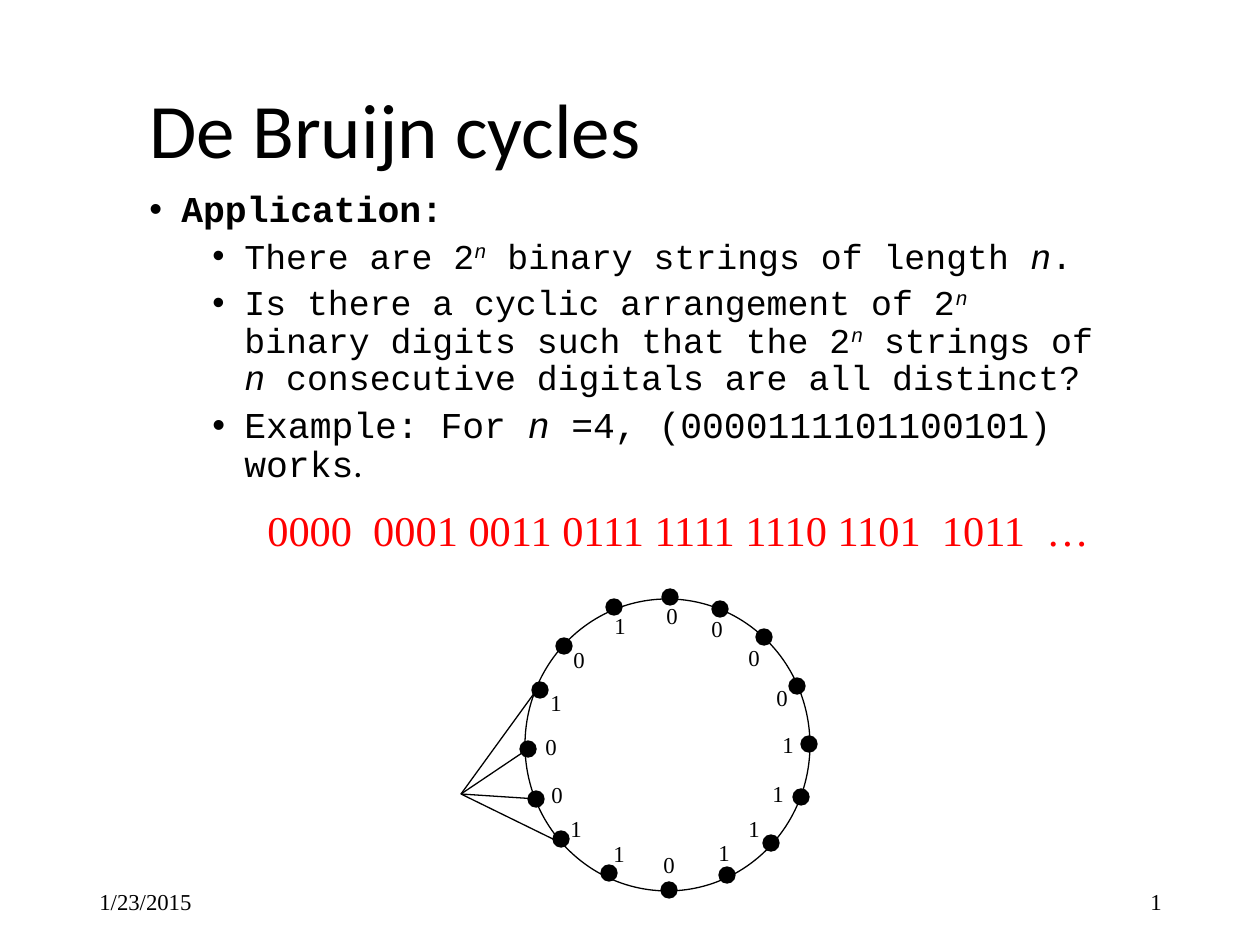
from pptx import Presentation
from pptx.dml.color import RGBColor
from pptx.enum.shapes import MSO_CONNECTOR, MSO_SHAPE
from pptx.enum.text import MSO_ANCHOR as Anchor, PP_ALIGN as Align
from pptx.oxml.ns import qn
from pptx.util import Pt
from lxml.etree import SubElement

PX = 914400 / 126
BLACK = RGBColor(0, 0, 0)
RED = RGBColor(255, 0, 0)
SERIF, MONO, SANS = "Times New Roman", "Courier New", "Calibri"


def px(*lengths):
    """Turn pixel lengths into EMU."""
    return [round(length * PX) for length in lengths]


def add_text(shapes, box, text, size, font=SERIF, color=BLACK, wrap=True, anchor=Anchor.TOP):
    """Add a one-paragraph text box and return its paragraph."""
    frame = shapes.add_textbox(*px(*box)).text_frame
    frame.word_wrap = wrap
    frame.vertical_anchor = anchor
    paragraph = frame.paragraphs[0]
    paragraph.text = text
    paragraph.font.size = Pt(size)
    paragraph.font.name = font
    paragraph.font.color.rgb = color
    return paragraph


prs = Presentation()
prs.slide_width, prs.slide_height = px(1260, 945)
slide = prs.slides.add_slide(prs.slide_layouts[6])
shapes = slide.shapes

# Footer and title
add_text(shapes, (87, 876, 284, 50), "1/23/2015", 13, anchor=Anchor.MIDDLE)
page = add_text(shapes, (890, 876, 284, 50), "1", 13, anchor=Anchor.MIDDLE)
page.alignment = Align.RIGHT
title = add_text(shapes, (137, 71, 985, 126), "De Bruijn cycles", 44, SANS, anchor=Anchor.MIDDLE)
title.line_spacing = 0.9

# Bullets: level, size, runs as (text, style)
BULLETS = [
    (0, 20.8, [("Application:", "bold")]),
    (1, 19.9, [("There are 2", ""), ("n", "power"), (" binary strings of length ", ""),
               ("n", "italic"), (".", "")]),
    (1, 19.9, [("Is there a cyclic arrangement of 2", ""), ("n", "power"),
               (" binary digits such that the 2", ""), ("n", "power"), (" strings of ", ""),
               ("n", "italic"), (" consecutive digitals are all distinct?", "")]),
    (1, 20.8, [("Example: For ", ""), ("n ", "italic"),
               ("=4, (0000111101100101) works", ""), (".", "sans")]),
]
body = shapes.add_textbox(*px(137, 185, 985, 284)).text_frame
body.word_wrap = True
for index, (level, size, runs) in enumerate(BULLETS):
    bullet = body.add_paragraph() if index else body.paragraphs[0]
    bullet.level = level
    bullet.line_spacing = 0.9
    bullet.space_before = Pt(5 if level else 10)
    props = bullet._p.get_or_add_pPr()
    margin, hanging = px(95 if level else 32, -32)
    props.set("marL", str(margin))
    props.set("indent", str(hanging))
    SubElement(props, qn("a:buFont"), typeface="Arial")
    SubElement(props, qn("a:buChar"), char="\u2022")
    for text, style in runs:
        run = bullet.add_run()
        run.text = text
        run.font.size = Pt(size)
        run.font.name = SANS if style == "sans" else MONO
        run.font.color.rgb = BLACK
        run.font.bold = style == "bold"
        run.font.italic = style in ("italic", "power")
        if style == "power":
            run.font._element.set("baseline", "30000")

add_text(shapes, (255, 498, 862, 64),
         "0000  0001 0011 0111 1111 1110 1101  1011  \u2026", 24.2, color=RED)

# Cycle, clockwise from the top: digit, dot centre, label corner
DIGITS = "0000111101100101"
DOTS = [(670, 597), (720, 609), (764, 637), (797, 686), (809, 744), (801, 797),
        (771, 843), (727, 875), (669, 890), (609, 873), (561, 839), (536, 799),
        (528, 749), (540, 690), (564, 646), (614, 607)]
LABELS = [(654, 596), (699, 609), (736, 638), (764, 678), (770, 725), (760, 774),
          (736, 809), (706, 833), (651, 845), (601, 834), (558, 809), (539, 775),
          (533, 727), (538, 683), (561, 640), (602, 606)]
DOT = 16
cycle = shapes.add_group_shape().shapes

ring = cycle.add_shape(MSO_SHAPE.OVAL, *px(525, 599, 285, 292))
ring.fill.background()
dots = [cycle.add_shape(MSO_SHAPE.OVAL, *px(x - DOT / 2, y - DOT / 2, DOT, DOT))
        for x, y in DOTS]
for dot in dots:
    dot.fill.solid()
    dot.fill.fore_color.rgb = BLACK
for oval in [ring, *dots]:
    oval.shadow.inherit = False
    oval.line.color.rgb = BLACK
    oval.line.width = Pt(0.75)

for end in [(528, 749), (537, 799), (538, 688), (559, 842)]:
    spoke = cycle.add_connector(MSO_CONNECTOR.STRAIGHT, *px(*end, 461, 794))
    spoke.line.color.rgb = BLACK
    spoke.line.width = Pt(0.75)
    SubElement(spoke._element.spPr, qn("a:effectLst"))

for digit, corner in zip(DIGITS, LABELS):
    add_text(cycle, (*corner, 35, 39), digit, 13, wrap=False)

prs.save("out.pptx")
